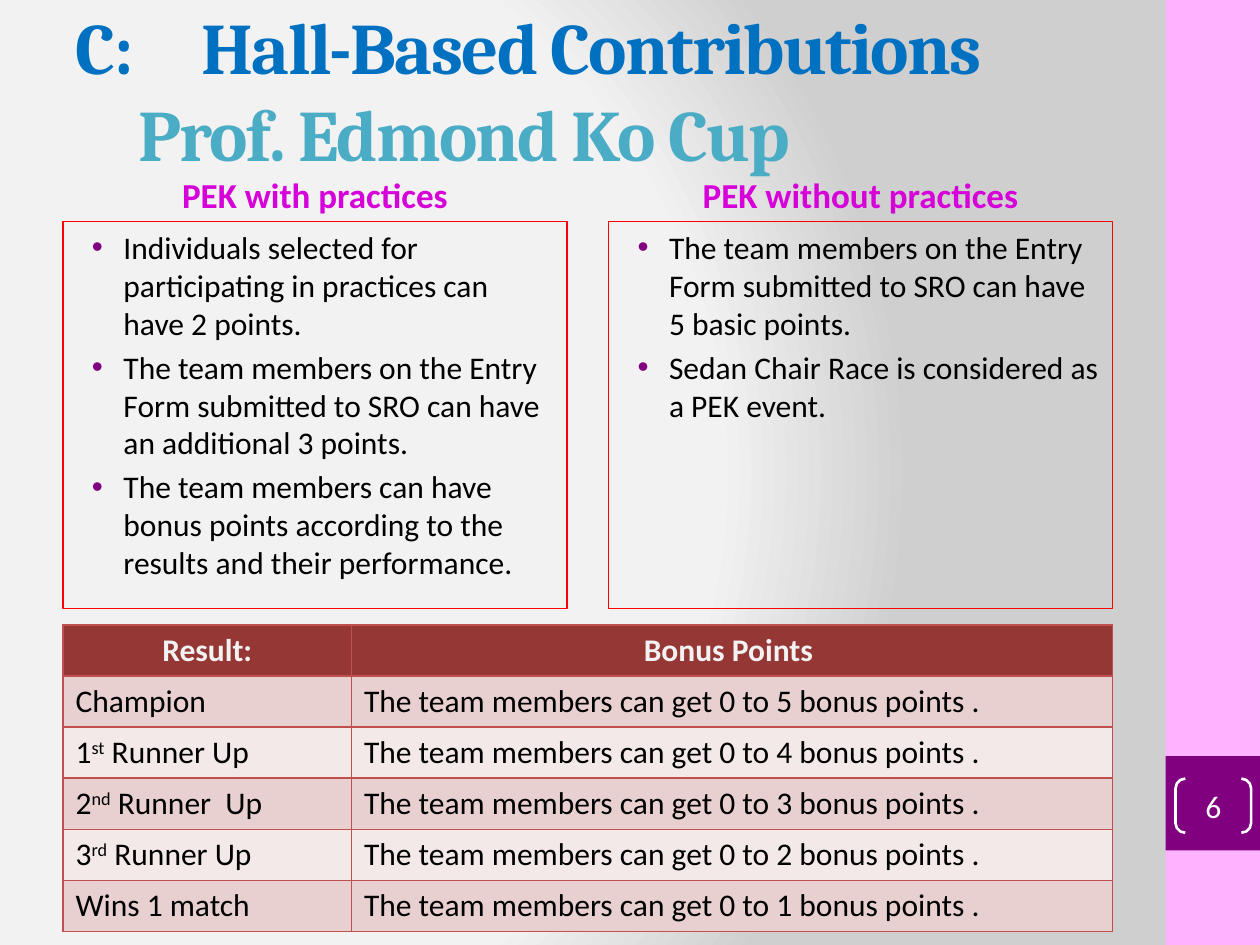
from lxml import etree
from pptx import Presentation, util as u
from pptx.dml.color import RGBColor
from pptx.enum import shapes, text
from pptx.oxml import parse_xml
from pptx.oxml.ns import nsdecls, qn

Inches = u.Inches
COLORS = {
    "pink": "FEB2FF", "purple": "800080", "magenta": "D600D8",
    "blue": "0070C0", "aqua": "4BACC6", "red": "FF0000",
    "black": "000000", "white": "FFFFFF", "light": "F2F2F2",
    "header": "953735", "border": "C0504D",
    "band_dark": "E8D0D0", "band_light": "F4E9E9",
}


def rgb(name):
    return RGBColor.from_string(COLORS[name])


def write(paragraph, words, size=18, color="black", bold=False,
          font="Calibri", align=text.PP_ALIGN.LEFT, **attributes):
    """Add a run; attributes are run properties such as spc or baseline."""
    paragraph.alignment = align
    run = paragraph.add_run()
    run.text = words
    run.font.size = u.Pt(size)
    run.font.name = font
    run.font.bold = bold
    run.font.color.rgb = rgb(color)
    for name, value in attributes.items():
        run.font._element.set(name, value)


CENTER = text.PP_ALIGN.CENTER
presentation = Presentation()
presentation.slide_width, presentation.slide_height = Inches(10), Inches(7.5)
slide = presentation.slides.add_slide(presentation.slide_layouts[4])

# Background: circular gradient
stops = "".join(
    f'<a:gs pos="{position}000"><a:srgbClr val="{color}"/></a:gs>'
    for position, color in ((0, "F3F3F3"), (75, "F2F2F2"), (100, "CFCFCF")))
slide.background.fill.solid()
properties = slide._element.cSld.find(qn("p:bg")).find(qn("p:bgPr"))
properties.replace(properties[0], parse_xml(
    f'<a:gradFill {nsdecls("a")} rotWithShape="1"><a:gsLst>{stops}</a:gsLst>'
    '<a:path path="circle"><a:fillToRect l="20000" t="50000" r="100000" '
    'b="50000"/></a:path></a:gradFill>'))

# Side band and page number block
for top, height, color in ((0, 7.5, "pink"), (6, 0.75, "purple")):
    band = slide.shapes.add_shape(
        shapes.MSO_SHAPE.RECTANGLE, Inches(9.25), Inches(top), Inches(0.75), Inches(height))
    band.shadow.inherit = False
    band.fill.solid()
    band.fill.fore_color.rgb = rgb(color)
    band.line.fill.background()

page = slide.shapes.add_shape(
    shapes.MSO_SHAPE.DOUBLE_BRACKET, Inches(9.33), Inches(6.18), Inches(0.6), Inches(0.43))
page.adjustments[0] = 0.18
page.shadow.inherit = False
page.fill.background()
page.line.color.rgb = rgb("white")
page.line.width = u.Pt(1.5)
frame = page.text_frame
frame.margin_left = frame.margin_right = frame.margin_top = frame.margin_bottom = 0
frame.vertical_anchor = text.MSO_ANCHOR.MIDDLE
write(frame.paragraphs[0], "6", color="white", align=CENTER)

# Title
title = slide.shapes.title
title.left, title.top, title.width, title.height = map(Inches, (0.5, 0.08, 8.33, 1.25))
title.text_frame.auto_size = text.MSO_AUTO_SIZE.NONE
title.text_frame.vertical_anchor = text.MSO_ANCHOR.MIDDLE
paragraph = title.text_frame.paragraphs[0]
title_format = dict(size=41.4, bold=True, font="Cambria", spc="-100")
write(paragraph, "C: \tHall-Based Contributions", color="blue", **title_format)
paragraph.add_line_break()
write(paragraph, "\tProf. Edmond Ko Cup", color="aqua", **title_format)

# Two columns: heading above a framed list
columns = [
    ("PEK with practices", [
        "Individuals selected for participating in practices can have 2 points.",
        "The team members on the Entry Form submitted to SRO can have an additional 3 points.",
        "The team members can have bonus points according to the results and their performance.",
    ]),
    ("PEK without practices", [
        "The team members on the Entry Form submitted to SRO can have 5 basic points.",
        "Sedan Chair Race is considered as a PEK event.",
    ]),
]
for index, (heading_words, items) in enumerate(columns):
    heading = slide.placeholders[1 + 2 * index]
    body = slide.placeholders[2 + 2 * index]
    for shape, top, height in ((heading, 1.06, 0.7), (body, 1.76, 3.07)):
        shape.left, shape.width = Inches(0.5 + 4.33 * index), Inches(4)
        shape.top, shape.height = Inches(top), Inches(height)
        shape.text_frame.auto_size = text.MSO_AUTO_SIZE.NONE
    heading.text_frame.vertical_anchor = text.MSO_ANCHOR.BOTTOM
    write(heading.text_frame.paragraphs[0], heading_words, size=20,
          color="magenta", bold=True, align=CENTER)

    body.line.color.rgb = rgb("red")
    body.line.width = u.Pt(0.75)
    for number, item in enumerate(items):
        frame = body.text_frame
        paragraph = frame.add_paragraph() if number else frame.paragraphs[0]
        write(paragraph, item)
        indent = paragraph._p.get_or_add_pPr()
        indent.set("marL", str(Inches(0.38)))
        indent.set("indent", str(Inches(-0.25)))
        bullet_color = etree.SubElement(indent, qn("a:buClr"))
        etree.SubElement(bullet_color, qn("a:srgbClr"), val=COLORS["purple"])
        etree.SubElement(indent, qn("a:buFont"), typeface="Arial")
        etree.SubElement(indent, qn("a:buChar"), char="•")

# Results table: each first cell is plain text, superscript, plain text
results = [("Champion", "", ""), ("1", "st", " Runner Up"), ("2", "nd", " Runner  Up"),
           ("3", "rd", " Runner Up"), ("Wins 1 match", "", "")]
row_height = Inches(2.43 / 6)
table = slide.shapes.add_table(
    6, 2, Inches(0.5), Inches(4.96), Inches(8.33), row_height * 6).table
table.columns[0].width, table.columns[1].width = Inches(2.29), Inches(6.04)
for row in table.rows:
    row.height = row_height

for cell, words in zip(table.rows[0].cells, ("Result:", "Bonus Points ")):
    write(cell.text_frame.paragraphs[0], words, color="light", bold=True, align=CENTER)
for number, (start, raised, end) in enumerate(results, 1):
    paragraph = table.cell(number, 0).text_frame.paragraphs[0]
    write(paragraph, start)
    if raised:
        write(paragraph, raised, baseline="30000")
        write(paragraph, end)
    write(table.cell(number, 1).text_frame.paragraphs[0],
          f"The team members can get 0 to {6 - number} bonus points .")

for number, row in enumerate(table.rows):
    for cell in row.cells:
        cell.vertical_anchor = text.MSO_ANCHOR.MIDDLE
        borders = cell._tc.get_or_add_tcPr()
        for side in ("lnL", "lnR", "lnT", "lnB"):
            line = etree.SubElement(borders, qn(f"a:{side}"), w=str(u.Pt(1)))
            fill = etree.SubElement(line, qn("a:solidFill"))
            etree.SubElement(fill, qn("a:srgbClr"), val=COLORS["border"])
        cell.fill.solid()
        cell.fill.fore_color.rgb = rgb(
            "header" if number == 0 else "band_dark" if number % 2 else "band_light")

presentation.save("out.pptx")
